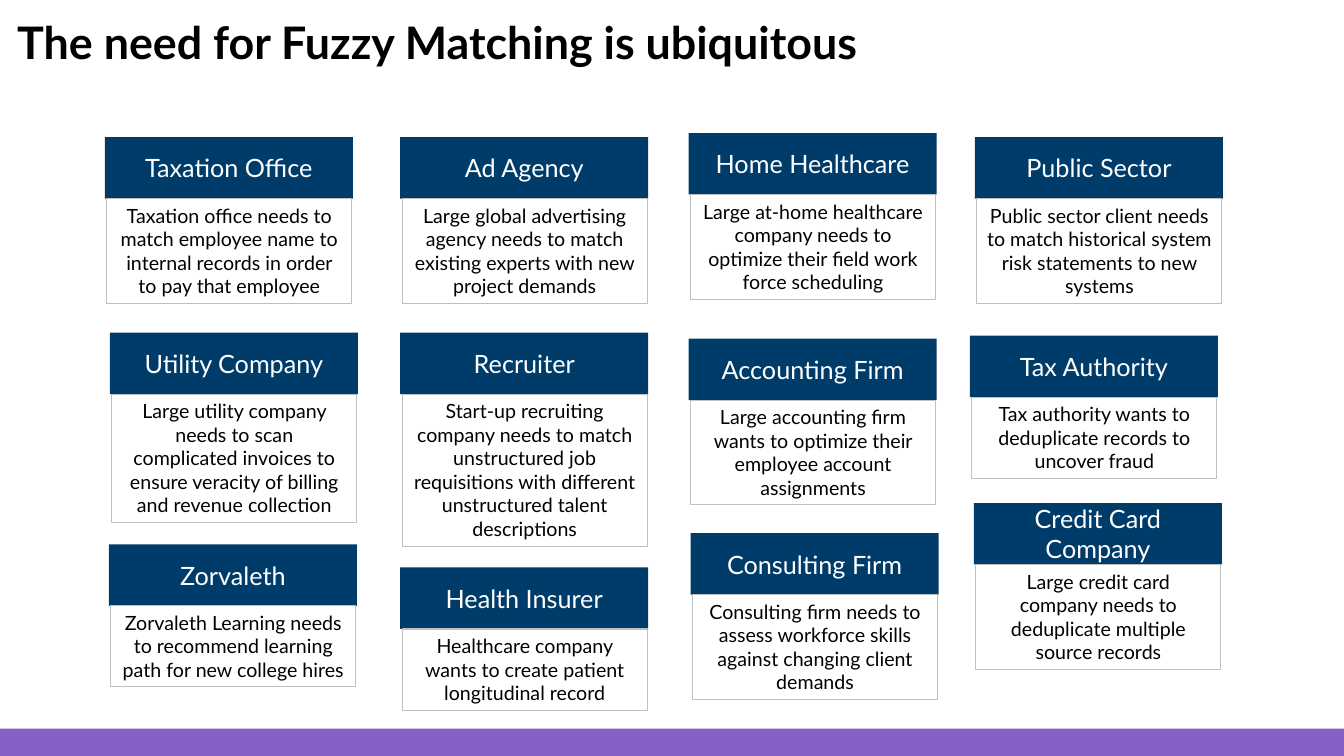
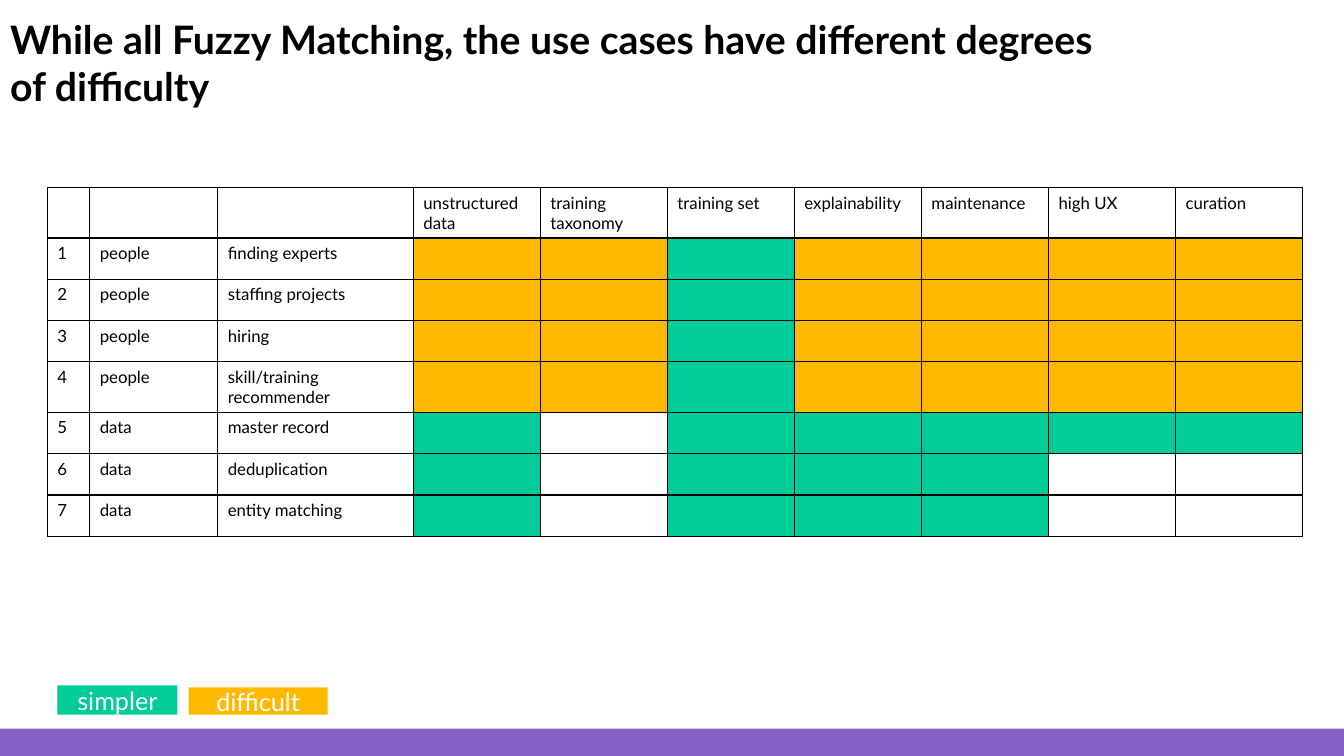
"""Builds two slides on the uses of fuzzy matching."""
from dataclasses import dataclass

from lxml import etree
from pptx import Presentation
from pptx.dml.color import RGBColor
from pptx.enum.shapes import MSO_SHAPE
from pptx.enum.text import MSO_ANCHOR, MSO_AUTO_SIZE, PP_ALIGN
from pptx.oxml.ns import qn
from pptx.util import Inches, Pt

RECT = MSO_SHAPE.RECTANGLE
TOP, MIDDLE = MSO_ANCHOR.TOP, MSO_ANCHOR.MIDDLE
LEFT, CENTER = PP_ALIGN.LEFT, PP_ALIGN.CENTER
FIXED, GROW = MSO_AUTO_SIZE.NONE, MSO_AUTO_SIZE.SHAPE_TO_FIT_TEXT


@dataclass(frozen=True)
class Theme:
    """Holds the colours and type sizes of the deck."""
    font: str = "Lato"
    black: str = "000000"
    white: str = "FFFFFF"
    navy: str = "003C6A"
    grey: str = "BFBFBF"
    purple: str = "8661C5"
    green: str = "00CC99"
    amber: str = "FFB900"
    head: int = 18
    body: int = 14
    cell: int = 12


THEME = Theme()
WIDTH, HEIGHT, BAND = 13.33, 7.5, 0.27

CARDS = [
    (1.04, 1.36, 4, "Taxation Office",
     "Taxation office needs to match employee name to internal records in order to pay that employee"),
    (1.09, 3.3, 5, "Utility Company",
     "Large utility company needs to scan complicated invoices to ensure veracity of billing "
     "and revenue collection"),
    (1.08, 5.4, 3, "Zorvaleth",
     "Zorvaleth Learning needs to recommend learning path for new college hires"),
    (3.97, 1.36, 4, "Ad Agency",
     "Large global advertising agency needs to match existing experts with new project demands"),
    (3.97, 3.3, 6, "Recruiter",
     "Start-up recruiting company needs to match unstructured job requisitions with different "
     "unstructured talent descriptions"),
    (3.97, 5.63, 3, "Health Insurer",
     "Healthcare company wants to create patient longitudinal record"),
    (6.83, 1.32, 4, "Home Healthcare",
     "Large at-home healthcare company needs to optimize their field work force scheduling"),
    (6.83, 3.36, 4, "Accounting Firm",
     "Large accounting firm wants to optimize their employee account assignments"),
    (6.85, 5.29, 4, "Consulting Firm",
     "Consulting firm needs to assess workforce skills against changing client demands"),
    (9.67, 1.36, 4, "Public Sector",
     "Public sector client needs to match historical system risk statements to new systems"),
    (9.62, 3.33, 3, "Tax Authority",
     "Tax authority wants to deduplicate records to uncover fraud"),
    (9.66, 4.99, 4, "Credit Card Company",
     "Large credit card company needs to deduplicate multiple source records"),
]

TRAITS = ["unstructured data", "training taxonomy", "training set", "explainability",
          "maintenance", "high UX", "curation"]
CASES = [
    ("people", "finding experts", "DDSDDDD"),
    ("people", "staffing projects", "DDSDDDD"),
    ("people", "hiring", "DDSDDDD"),
    ("people", "skill/training recommender", "DDSDDDD"),
    ("data", "master record", "S-SSSSS"),
    ("data", "deduplication", "S-SSS--"),
    ("data", "entity matching", "S-SSS--"),
]
GRADES = {"S": THEME.green, "D": THEME.amber, "-": None}


def paint(fill, color):
    """Fills with a colour, or clears the fill when there is none."""
    if color:
        fill.solid()
        fill.fore_color.rgb = RGBColor.from_string(color)
    else:
        fill.background()


def write(frame, text, size, color, align=LEFT, bold=False):
    """Writes one run into the first paragraph of a frame."""
    line = frame.paragraphs[0]
    line.alignment = align
    run = line.add_run()
    run.text = text
    run.font.name = THEME.font
    run.font.size = Pt(size)
    run.font.bold = bold
    run.font.color.rgb = RGBColor.from_string(color)


def add_box(shapes, box, fill=None, edge=None):
    """Adds a plain rectangle."""
    shape = shapes.add_shape(RECT, *map(Inches, box))
    shape.shadow.inherit = False
    paint(shape.fill, fill)
    paint(shape.line.fill, edge)
    if edge:
        shape.line.width = Pt(0.75)
    return shape


def add_label(shapes, box, text, fill):
    """Adds a filled rectangle with a centred white label."""
    frame = add_box(shapes, box, fill).text_frame
    frame.word_wrap = True
    frame.vertical_anchor = MIDDLE
    write(frame, text, THEME.head, THEME.white, CENTER)


def add_page(deck, title, box, size):
    """Adds a slide with the shared title style and bottom band."""
    slide = deck.slides.add_slide(deck.slide_layouts[5])
    add_box(slide.shapes, (0, HEIGHT - BAND, WIDTH, BAND), THEME.purple)
    head = slide.shapes.title
    head.left, head.top, head.width, head.height = map(Inches, box)
    frame = head.text_frame
    frame.word_wrap = True
    frame.auto_size = FIXED
    frame.vertical_anchor = MIDDLE
    write(frame, title, size, THEME.black, bold=True)
    return slide


def add_card(slide, left, top, lines, title, text):
    """Adds a grouped card: a label over a bordered text box."""
    wide, tall, inset = 2.46, 0.61, 0.02
    shapes = slide.shapes.add_group_shape().shapes
    add_label(shapes, (left, top, wide, tall), title, THEME.navy)
    box = (left + inset, top + tall, wide - 0.03, 0.1 + 0.235 * lines)
    frame = add_box(shapes, box, edge=THEME.grey).text_frame
    frame.word_wrap = True
    frame.auto_size = GROW
    frame.vertical_anchor = TOP
    write(frame, text, THEME.body, THEME.black, CENTER)


def add_edges(cell):
    """Draws a thin black border around a table cell."""
    props = cell._tc.get_or_add_tcPr()
    for spot, side in enumerate(("lnL", "lnR", "lnT", "lnB")):
        edge = etree.Element(qn(f"a:{side}"), w=str(Pt(1)))
        fill = etree.SubElement(edge, qn("a:solidFill"))
        etree.SubElement(fill, qn("a:srgbClr"), val=THEME.black)
        props.insert(spot, edge)


def add_grid(slide, box):
    """Adds the table that grades each use case by trait."""
    rows = [["", "", ""] + TRAITS]
    rows += [[str(num), kind, case] + [""] * len(TRAITS)
             for num, (kind, case, _) in enumerate(CASES, 1)]
    marks = ["-" * 10] + ["---" + grades for _, _, grades in CASES]
    table = slide.shapes.add_table(len(rows), len(rows[0]), *map(Inches, box)).table
    table.first_row = table.horz_banding = False
    leads = [0.42, 1.27, 1.94]
    rest = (box[2] - sum(leads)) / len(TRAITS)
    for col, wide in zip(table.columns, leads + [rest] * len(TRAITS)):
        col.width = Inches(wide)
    for row, texts, grades in zip(table.rows, rows, marks):
        row.height = Inches(0.41)
        for cell, text, grade in zip(row.cells, texts, grades):
            paint(cell.fill, GRADES[grade])
            add_edges(cell)
            if text:
                write(cell.text_frame, text, THEME.cell, THEME.black)


def add_key(slide, left, top):
    """Adds the legend of the two grades."""
    add_label(slide.shapes, (left, top, 1.19, 0.29), "simpler", THEME.green)
    add_label(slide.shapes, (left + 1.3, top + 0.02, 1.38, 0.27), "difficult", THEME.amber)


def main():
    """Builds and saves the deck."""
    deck = Presentation()
    deck.slide_width, deck.slide_height = Inches(WIDTH), Inches(HEIGHT)
    needs = add_page(deck, "The need for Fuzzy Matching is ubiquitous",
                     (0.07, -0.1, 12.13, 1.02), 32)
    for card in CARDS:
        add_card(needs, *card)
    grades = add_page(
        deck, "While all Fuzzy Matching, the use cases have different degrees of difficulty",
        (0, 0.11, 11.03, 1.02), 28)
    add_grid(grades, (0.47, 1.86, 12.45, 3.28))
    add_key(grades, 0.57, 6.8)
    deck.save("out.pptx")


if __name__ == "__main__":
    main()
